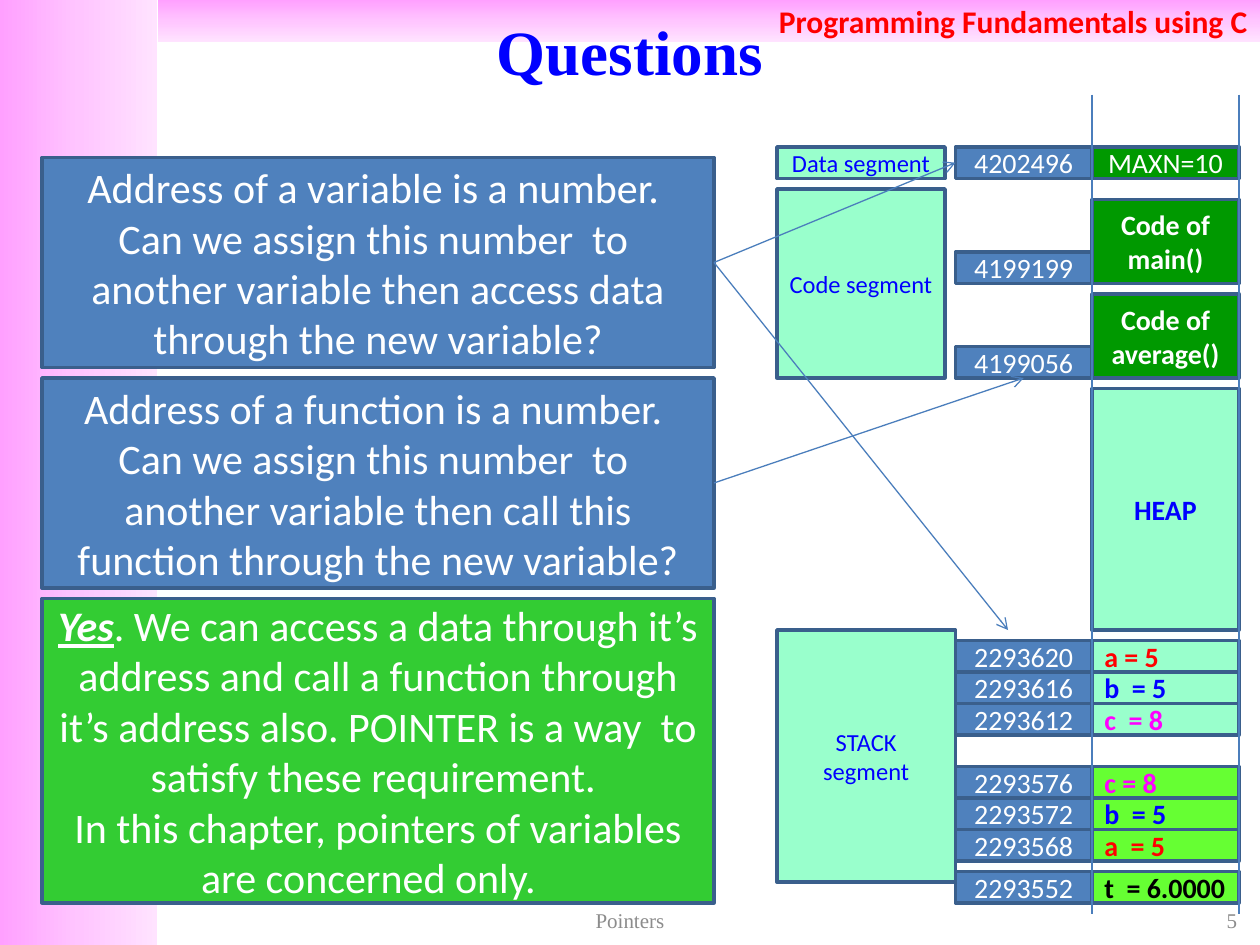
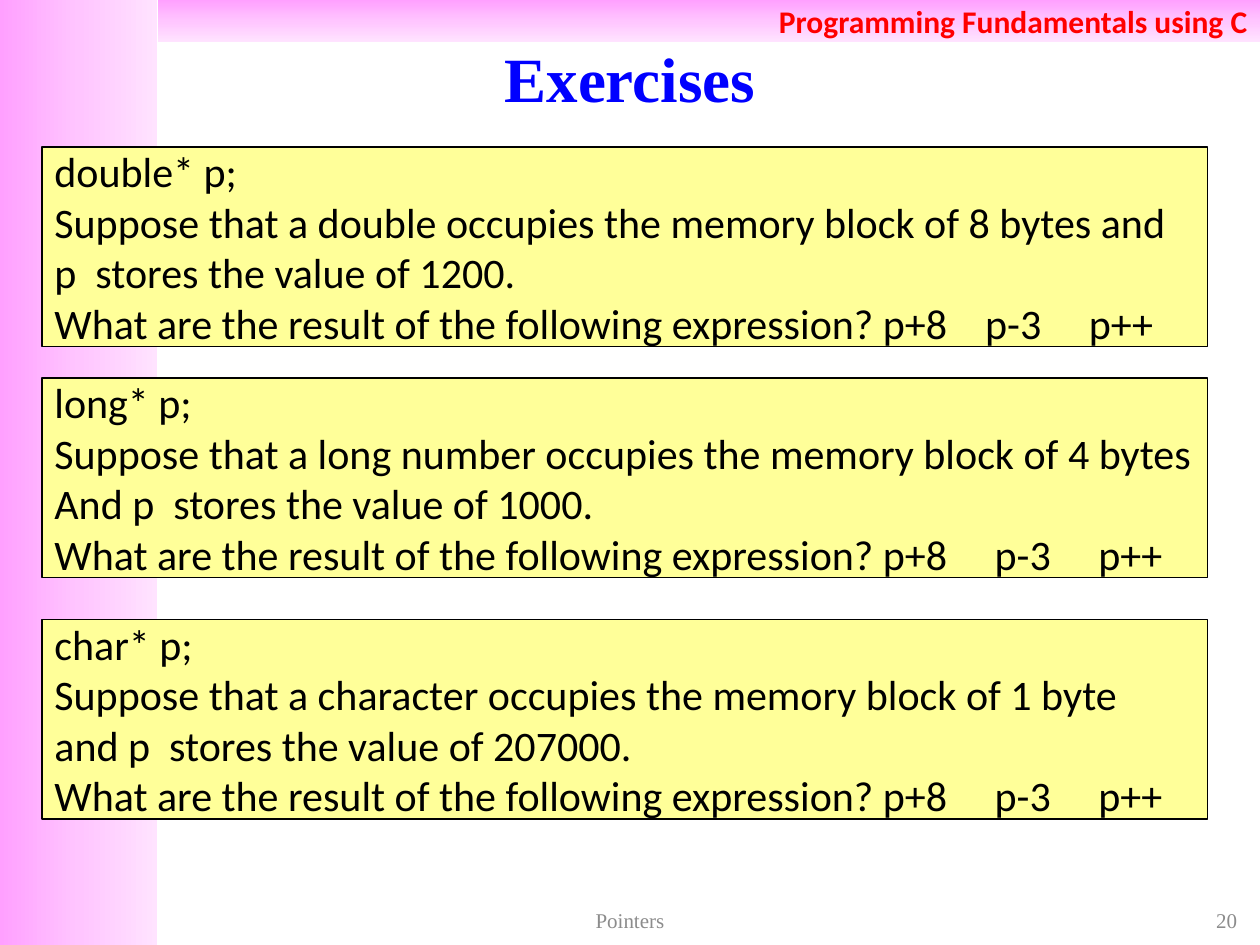
"""Build two slides on C pointers: a memory map with questions, and pointer exercises."""
import copy

import lxml.etree
import pptx
import pptx.dml.color
import pptx.enum.shapes
import pptx.enum.text
import pptx.oxml.ns
import pptx.util

COLORS = {
    "blue": "0000FF", "red": "FF0000", "magenta": "FF00FF", "black": "000000", "white": "FFFFFF",
    "gray": "8C8C8C", "steel": "4F81BD", "edge": "3A5F8C", "connector": "4B7EBC",
    "mint": "99FFCC", "forest": "009900", "lime": "66FF33", "answer": "33CC33", "yellow": "FFFF99",
    "band_start": "FFA0FF", "band_middle": "FFC5FF", "band_end": "FFE3FF",
}
RGB = {name: pptx.dml.color.RGBColor.from_string(value) for name, value in COLORS.items()}
ALIGN = pptx.enum.text.PP_ALIGN
RECTANGLE = pptx.enum.shapes.MSO_SHAPE.RECTANGLE
STRAIGHT = pptx.enum.shapes.MSO_CONNECTOR.STRAIGHT
qn = pptx.oxml.ns.qn

UNITS_PER_INCH = 12
UNIT = pptx.util.Cm(2.54) // UNITS_PER_INCH

ROW_HEIGHT = 3
SEGMENT_LEFT, SEGMENT_WIDTH = 74, 16
ADDRESS_LEFT, ADDRESS_WIDTH = 91, 13
VALUE_LEFT, VALUE_WIDTH = 104, 14
VALUE_RIGHT = VALUE_LEFT + VALUE_WIDTH
DATA_TOP, HEAP_TOP, STACK_TOP = 14, 37, 60
CODE_TOP, CODE_HEIGHT, FUNCTION_HEIGHT = 18, 18, 8
CODE_BOTTOM = CODE_TOP + CODE_HEIGHT
RAIL_TOP, RAIL_BOTTOM = 9, 87
CARD_LEFT, CARD_WIDTH, QUESTION_HEIGHT = 4, 64, 20
CARD_RIGHT = CARD_LEFT + CARD_WIDTH
VARIABLE_TOP, FUNCTION_TOP, ANSWER_TOP, ANSWER_HEIGHT = 15, 36, 57, 29
EXERCISE_WIDTH, EXERCISE_HEIGHT = 111, 19
FOOTER_TOP, FOOTER_HEIGHT = 86, 3.2


def write(shape, text, size=16, color="white", font="Calibri", bold=False, align=ALIGN.CENTER,
          wrap=True, lead=""):
    frame = shape.text_frame
    frame.word_wrap = wrap
    frame.auto_size = pptx.enum.text.MSO_AUTO_SIZE.NONE
    frame.vertical_anchor = pptx.enum.text.MSO_ANCHOR.MIDDLE
    for index, line in enumerate(text.split("\n")):
        paragraph = frame.add_paragraph() if index else frame.paragraphs[0]
        paragraph.alignment = align
        parts = [(lead, True), (line, False)] if lead and index == 0 else [(line, False)]
        for part, emphasised in parts:
            run = paragraph.add_run()
            run.text = part
            run.font.name = font
            run.font.size = pptx.util.Pt(size)
            run.font.color.rgb = RGB[color]
            run.font.bold = bold or emphasised
            if emphasised:
                run.font.italic = run.font.underline = True


def add_box(slide, area, text="", fill=None, line="edge", line_width=2, **text_format):
    left, top, width, height = [int(value * UNIT) for value in area]
    if fill is None:
        shape = slide.shapes.add_textbox(left, top, width, height)
    else:
        shape = slide.shapes.add_shape(RECTANGLE, left, top, width, height)
        shape.shadow.inherit = False
        shape.fill.solid()
        shape.fill.fore_color.rgb = RGB[fill]
        if line:
            shape.line.color.rgb = RGB[line]
            shape.line.width = pptx.util.Pt(line_width)
        else:
            shape.line.fill.background()
    if text:
        write(shape, text, **text_format)
    return shape


presentation = pptx.Presentation()
presentation.slide_width = pptx.util.Cm(25.4)
presentation.slide_height = pptx.util.Cm(19.05)
layout = presentation.slide_layouts.get_by_name("Title Only")

slides = []
for title, title_area, number in [
    ("Questions", (2, 1, 116, 7.5), "5"),
    ("Exercises", (0, 3.6, 120, 7.5), "20"),
]:
    slide = presentation.slides.add_slide(layout)
    heading = slide.shapes.title
    heading.left, heading.top, heading.width, heading.height = [int(value * UNIT) for value in title_area]
    write(heading, title, size=36, color="blue", font="Times New Roman", bold=True)
    for left, width, text, align in [(41, 38, "Pointers", ALIGN.CENTER), (91, 28, number, ALIGN.RIGHT)]:
        add_box(slide, (left, FOOTER_TOP, width, FOOTER_HEIGHT), text,
                size=12, color="gray", font="Times New Roman", align=align)
    slides.append(slide)
questions, exercises = slides

BACKMOST = 2
for position, (area, angle, text) in enumerate([
    ((0, 0, 15, 90), 0, ""),
    ((15, 0, 105, 4), 270, "Programming Fundamentals using C"),
]):
    band = add_box(questions, area, text, fill="band_start", line=None,
                   size=18, color="red", bold=True, align=ALIGN.RIGHT)
    band.fill.gradient()
    band.fill.gradient_angle = angle
    stop_list = band.element.find(".//" + qn("a:gsLst"))
    stop_list.insert(1, copy.deepcopy(stop_list[0]))
    for index, name in enumerate(["band_start", "band_middle", "band_end"]):
        stop = band.fill.gradient_stops[index]
        stop.color.rgb = RGB[name]
        stop.position = index / 2
    layout.shapes.element.insert(BACKMOST + position, band.element)

add_box(questions, (ADDRESS_LEFT, DATA_TOP, ADDRESS_WIDTH, ROW_HEIGHT), "4202496", fill="steel")
add_box(questions, (VALUE_LEFT, DATA_TOP, VALUE_WIDTH, ROW_HEIGHT), "MAXN=10", fill="forest")

for function_name, address, bottom in [("main()", "4199199", 27), ("average()", "4199056", CODE_BOTTOM)]:
    add_box(questions, (ADDRESS_LEFT, bottom - ROW_HEIGHT, ADDRESS_WIDTH, ROW_HEIGHT), address, fill="steel")
    add_box(questions, (VALUE_LEFT, bottom - FUNCTION_HEIGHT, VALUE_WIDTH, FUNCTION_HEIGHT),
            f"Code of {function_name}", fill="forest", bold=True)

stack_frames = [
    (61, "mint", [("2293620", "a = 5", "red"), ("2293616", "b  = 5", "blue"), ("2293612", "c  = 8", "magenta")]),
    (73, "lime", [("2293576", "c = 8", "magenta"), ("2293572", "b  = 5", "blue"), ("2293568", "a  = 5", "red")]),
    (83, "lime", [("2293552", "t  = 6.0000", "black")]),
]
for frame_top, fill, variables in stack_frames:
    for row, (address, variable, color) in enumerate(variables):
        top = frame_top + row * ROW_HEIGHT
        add_box(questions, (ADDRESS_LEFT, top, ADDRESS_WIDTH, ROW_HEIGHT), address, fill="steel")
        add_box(questions, (VALUE_LEFT, top, VALUE_WIDTH, ROW_HEIGHT), variable,
                fill=fill, color=color, bold=True, align=ALIGN.LEFT)

rails = [((x, RAIL_TOP), (x, RAIL_BOTTOM), False) for x in (VALUE_LEFT, VALUE_RIGHT)]
variable_start = (CARD_RIGHT, VARIABLE_TOP + QUESTION_HEIGHT / 2)
function_start = (CARD_RIGHT, FUNCTION_TOP + QUESTION_HEIGHT / 2)
arrows = [
    (variable_start, (96, STACK_TOP), True),
    (variable_start, (ADDRESS_LEFT, DATA_TOP + ROW_HEIGHT / 2), True),
    (function_start, (ADDRESS_LEFT + ADDRESS_WIDTH / 2, CODE_BOTTOM), True),
]

add_box(questions, (VALUE_LEFT, HEAP_TOP, VALUE_WIDTH, STACK_TOP - HEAP_TOP), "HEAP",
        fill="mint", color="blue", bold=True)
for segment, top, width, height in [
    ("STACK\nsegment", STACK_TOP, ADDRESS_LEFT - SEGMENT_LEFT, 24),
    ("Data segment", DATA_TOP, SEGMENT_WIDTH, ROW_HEIGHT),
    ("Code segment", CODE_TOP, SEGMENT_WIDTH, CODE_HEIGHT),
]:
    add_box(questions, (SEGMENT_LEFT, top, width, height), segment, fill="mint", size=14, color="blue")

for target, action, top in [
    ("variable", "access data", VARIABLE_TOP),
    ("function", "call this function", FUNCTION_TOP),
]:
    add_box(questions, (CARD_LEFT, top, CARD_WIDTH, QUESTION_HEIGHT),
            f"Address of a {target} is a number.  Can we assign this number  to  another "
            f"variable then {action} through the new variable?", fill="steel", size=24)
add_box(questions, (CARD_LEFT, ANSWER_TOP, CARD_WIDTH, ANSWER_HEIGHT),
        ". We can access a data through it’s address and call a function through it’s address also. "
        "POINTER is a way  to satisfy these requirement. \n"
        "In this chapter, pointers of variables are concerned only.  ",
        fill="answer", size=24, lead="Yes")

for start, end, has_arrowhead in rails + arrows:
    connector = questions.shapes.add_connector(STRAIGHT, *[int(value * UNIT) for value in start + end])
    connector.line.color.rgb = RGB["connector"]
    connector.line.width = pptx.util.Pt(0.75)
    properties = connector.element.spPr
    if has_arrowhead:
        lxml.etree.SubElement(properties.find(qn("a:ln")), qn("a:tailEnd"), type="arrow")
    lxml.etree.SubElement(properties, qn("a:effectLst"))

for top, pointer_type, occupancy, storage, expressions in [
    (14, "double", "double occupies the memory block of 8 bytes and",
     "p  stores the value of 1200.", "p+8    p-3     p++"),
    (36, "long", "long number occupies the memory block of 4 bytes",
     "And p  stores the value of 1000.", "p+8     p-3     p++"),
    (59, "char", "character occupies the memory block of 1 byte",
     "and p  stores the value of 207000.", "p+8     p-3     p++"),
]:
    add_box(exercises, (CARD_LEFT, top, EXERCISE_WIDTH, EXERCISE_HEIGHT),
            f"{pointer_type}* p;\n"
            f"Suppose that a {occupancy}\n"
            f"{storage}\n"
            f"What are the result of the following expression? {expressions}",
            fill="yellow", line="black", line_width=0.75, size=24, color="black",
            align=ALIGN.LEFT, wrap=False)

presentation.save("out.pptx")
